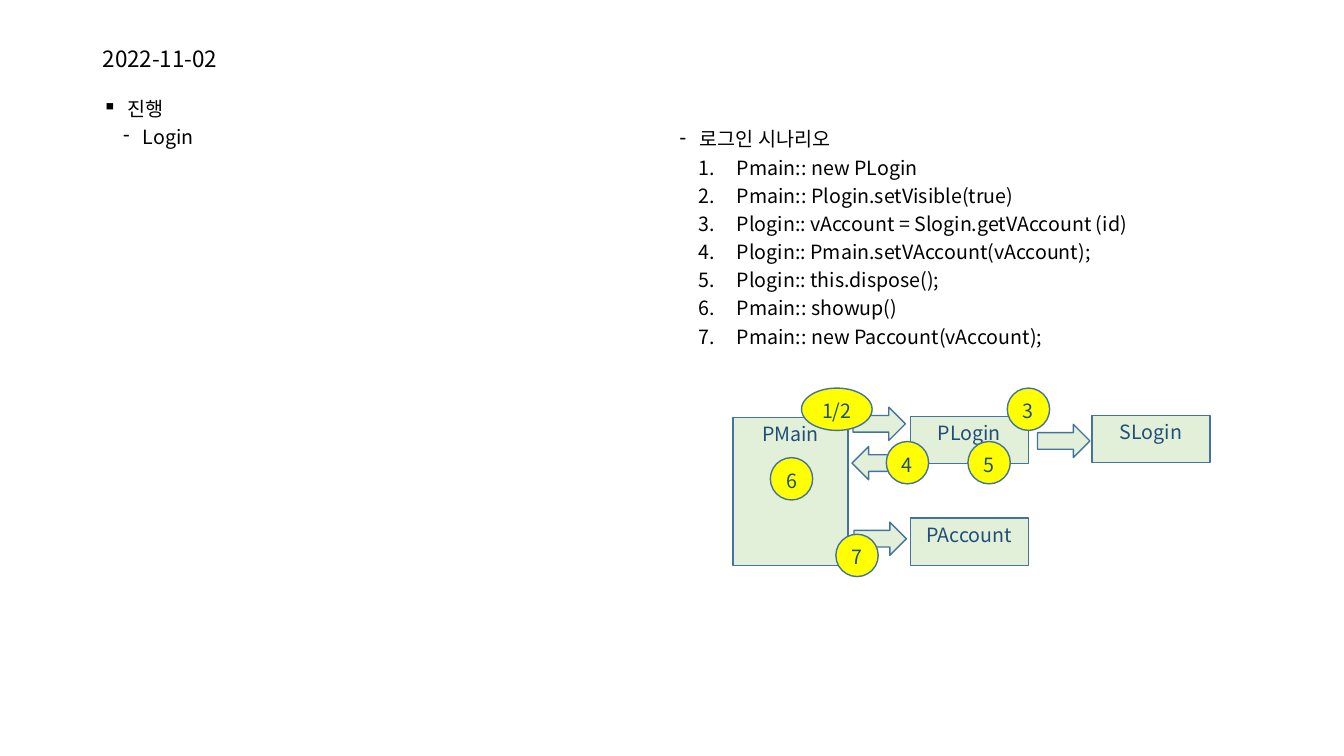
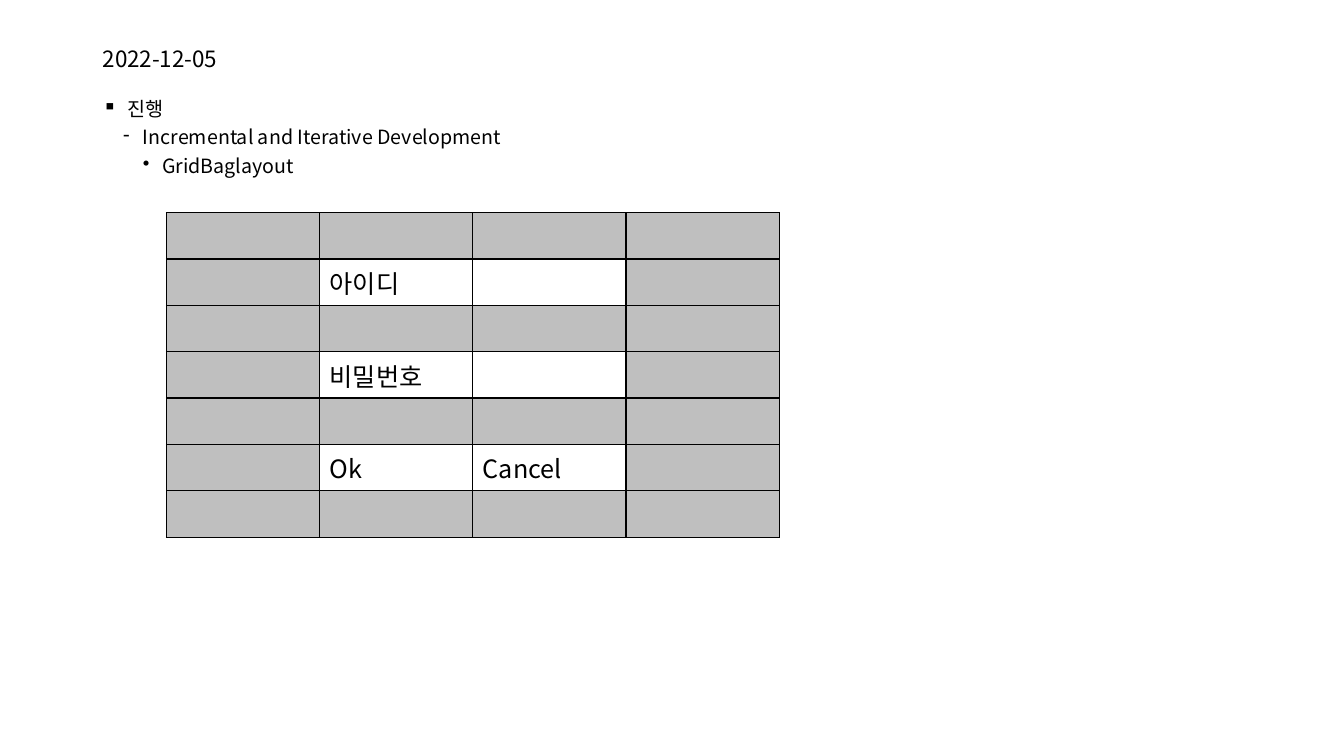
from dataclasses import dataclass

from lxml import etree
from pptx import Presentation
from pptx.dml.color import RGBColor
from pptx.enum.shapes import MSO_SHAPE
from pptx.enum.text import MSO_ANCHOR, PP_ALIGN
from pptx.oxml.ns import qn
from pptx.util import Inches, Pt

RECT, OVAL = MSO_SHAPE.RECTANGLE, MSO_SHAPE.OVAL
RIGHT, LEFT = MSO_SHAPE.RIGHT_ARROW, MSO_SHAPE.LEFT_ARROW
TOP, MIDDLE = MSO_ANCHOR.TOP, MSO_ANCHOR.MIDDLE
CENTER = PP_ALIGN.CENTER


@dataclass(frozen=True)
class Theme:
    font: str = "Noto Sans CJK KR"
    ink: str = "000000"
    paper: str = "FFFFFF"
    navy: str = "1F4E79"
    edge: str = "43739E"
    green: str = "E2F0D9"
    yellow: str = "FFFF00"
    gray: str = "BFBFBF"
    title: int = 16
    body: int = 14
    cell: int = 18
    line: int = 1


@dataclass(frozen=True)
class Level:
    """A list level: bullet (None numbers it), left edge, hang, space before."""
    mark: str | None
    left: float
    hang: float
    gap: int


THEME = Theme()
TOPIC = Level("▪", 0.25, 0.25, 10)
DASH = Level("‐", 0.4, 0.2, 5)
DOT = Level("•", 0.59, 0.19, 5)
STEP = Level(None, 0.77, 0.38, 5)

STEPS = [
    "Pmain:: new PLogin",
    "Pmain:: Plogin.setVisible(true)",
    "Plogin:: vAccount = Slogin.getVAccount (id)",
    "Plogin:: Pmain.setVAccount(vAccount);",
    "Plogin:: this.dispose();",
    "Pmain:: showup()",
    "Pmain:: new Paccount(vAccount);",
]
BOX = (1.17, 0.47)
ARROW = (0.52, 0.33)
BALL = (0.42, 0.42)


def rgb(code):
    return RGBColor.from_string(code)


def style(para, size, color):
    """Set the type of every run, East Asian face included."""
    for run in para.runs:
        font = run.font
        font.name, font.size = THEME.font, Pt(size)
        font.color.rgb = rgb(color)
        face = etree.SubElement(run._r.get_or_add_rPr(), qn("a:ea"))
        face.set("typeface", THEME.font)


def add_box(slide, left, top, width, height):
    spot = map(Inches, (left, top, width, height))
    frame = slide.shapes.add_textbox(*spot).text_frame
    frame.word_wrap = True
    return frame


def add_title(slide, text):
    frame = add_box(slide, 0.92, 0.4, 11.5, 0.39)
    frame.vertical_anchor = MIDDLE
    frame.text = text
    para = frame.paragraphs[0]
    para.line_spacing = 0.9
    style(para, THEME.title, THEME.ink)


def set_mark(para, level):
    props = para._p.get_or_add_pPr()
    props.set("marL", str(Inches(level.left)))
    props.set("indent", str(-Inches(level.hang)))
    if level.mark:
        etree.SubElement(props, qn("a:buChar")).set("char", level.mark)
    else:
        auto = etree.SubElement(props, qn("a:buAutoNum"))
        auto.set("type", "arabicPeriod")


def add_list(slide, spot, items):
    """Write (level, text) items as a bulleted list."""
    frame = add_box(slide, *spot)
    frame.text = "\n".join(text for _, text in items)
    for i, (para, (level, _)) in enumerate(zip(frame.paragraphs, items)):
        set_mark(para, level)
        para.line_spacing = 0.9
        para.space_before = Pt(level.gap if i else 0)
        style(para, THEME.body, THEME.ink)


def add_node(slide, kind, left, top, size, fill, text=""):
    spot = map(Inches, (left, top, *size))
    shape = slide.shapes.add_shape(kind, *spot)
    shape.shadow.inherit = False
    shape.fill.solid()
    shape.fill.fore_color.rgb = rgb(fill)
    shape.line.color.rgb = rgb(THEME.edge)
    shape.line.width = Pt(THEME.line)
    if text:
        frame = shape.text_frame
        frame.word_wrap = False
        frame.vertical_anchor = TOP
        frame.text = text
        para = frame.paragraphs[0]
        para.alignment = CENTER
        style(para, THEME.body, THEME.navy)


def add_flow(slide):
    """Draw the login flow: boxes, then arrows, then step numbers."""
    boxes = [
        ("PLogin", 9.03, 4.13, BOX), ("PAccount", 9.03, 5.14, BOX),
        ("PMain", 7.27, 4.14, (1.14, 1.47)), ("SLogin", 10.83, 4.12, BOX),
    ]
    arrows = [
        (RIGHT, 8.46, 4.04), (LEFT, 8.45, 4.43),
        (RIGHT, 8.47, 5.18), (RIGHT, 10.29, 4.21),
    ]
    balls = [
        ("1/2", 7.95, 3.85, (0.7, 0.42)), ("3", 9.99, 3.85, BALL),
        ("4", 8.79, 4.38, BALL), ("7", 8.29, 5.3, BALL),
        ("5", 9.6, 4.38, BALL), ("6", 7.64, 4.54, BALL),
    ]
    for text, left, top, size in boxes:
        add_node(slide, RECT, left, top, size, THEME.green, text)
    for kind, left, top in arrows:
        add_node(slide, kind, left, top, ARROW, THEME.green)
    for text, left, top, size in balls:
        add_node(slide, OVAL, left, top, size, THEME.yellow, text)


def add_border(cell):
    props = cell._tc.get_or_add_tcPr()
    for side in ("lnL", "lnR", "lnT", "lnB"):
        line = etree.SubElement(props, qn(f"a:{side}"))
        line.set("w", str(Pt(THEME.line)))
        fill = etree.SubElement(line, qn("a:solidFill"))
        etree.SubElement(fill, qn("a:srgbClr")).set("val", THEME.ink)


def add_form(slide, left, top, fields, wide=1.52, high=0.46):
    """Lay out field pairs in white cells within a gray grid."""
    rows, cols = 2 * len(fields) + 1, 4
    spot = map(Inches, (left, top, cols * wide, rows * high))
    table = slide.shapes.add_table(rows, cols, *spot).table
    table.first_row = table.horz_banding = False
    for col in table.columns:
        col.width = Inches(wide)
    for r, row in enumerate(table.rows):
        row.height = Inches(high)
        for c, cell in enumerate(row.cells):
            field = r % 2 == 1 and c in (1, 2)
            add_border(cell)
            cell.fill.solid()
            cell.fill.fore_color.rgb = rgb(THEME.paper if field else THEME.gray)
            if field:
                cell.text = fields[r // 2][c - 1]
                style(cell.text_frame.paragraphs[0], THEME.cell, THEME.ink)


def add_page(deck, date, items):
    slide = deck.slides.add_slide(deck.slide_layouts[6])
    add_title(slide, date)
    add_list(slide, (0.92, 0.94, 5.36, 5.81), [(TOPIC, "진행"), *items])
    return slide


def main():
    deck = Presentation()
    deck.slide_width, deck.slide_height = Inches(13.33), Inches(7.5)

    login = add_page(deck, "2022-11-02", [(DASH, "Login")])
    steps = [(STEP, text) for text in STEPS]
    add_list(login, (6.44, 1.24, 6.08, 5.51),
             [(DASH, "로그인 시나리오"), *steps])
    add_flow(login)

    grid = add_page(deck, "2022-12-05", [
        (DASH, "Incremental and Iterative Development"),
        (DOT, "GridBaglayout"),
    ])
    add_form(grid, 1.65, 2.11,
             [("아이디", ""), ("비밀번호", ""), ("Ok", "Cancel")])

    deck.save("out.pptx")


if __name__ == "__main__":
    main()
